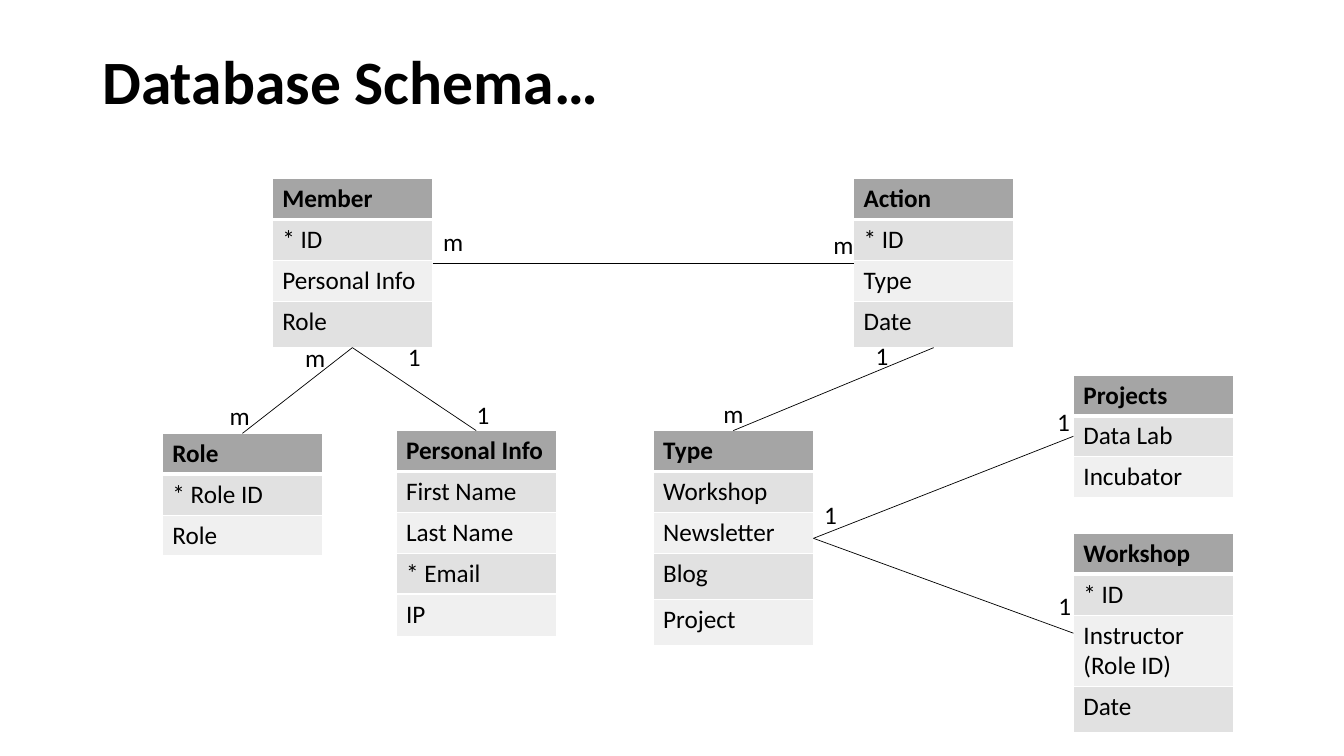
from collections import namedtuple

from lxml import etree
from pptx import Presentation
from pptx import util as u
from pptx.dml.color import RGBColor
from pptx.enum import shapes, text
from pptx.oxml import ns

BLACK = RGBColor(0x00, 0x00, 0x00)
WHITE = RGBColor(0xFF, 0xFF, 0xFF)
HEADER_GREY = RGBColor(0xA5, 0xA5, 0xA5)
BAND_GREYS = (RGBColor(0xE1, 0xE1, 0xE1), RGBColor(0xF0, 0xF0, 0xF0))

FONT = "Calibri"
ENTITY_WIDTH = 4.04
ROW, TALL, DOUBLE = 1.03, 1.17, 1.8  # row heights in cm

# Edge midpoints of an entity, in cm
Edges = namedtuple("Edges", "left top right bottom")

# Entity key: left, top, heading, fields with their row heights
ENTITIES = {
    "member": (6.86, 4.5, "Member",
               [("* ID", ROW), ("Personal Info", ROW), ("Role", TALL)]),
    "personal": (9.98, 10.85, "Personal Info",
                 [("First Name", ROW), ("Last Name", ROW),
                  ("* Email", ROW), ("IP", 1.08)]),
    "role": (4.09, 10.92, "Role", [("* Role ID", ROW), ("Role", ROW)]),
    "action": (21.51, 4.5, "Action",
               [("* ID", ROW), ("Type", ROW), ("Date", TALL)]),
    "type": (16.46, 10.85, "Type",
             [("Workshop", ROW), ("Newsletter", ROW),
              ("Blog", TALL), ("Project", TALL)]),
    "workshop": (27.05, 13.44, "Workshop",
                 [("* ID", ROW), ("Instructor (Role ID)", DOUBLE), ("Date", TALL)]),
    "projects": (27.05, 9.45, "Projects", [("Data Lab", ROW), ("Incubator", ROW)]),
}

# Start entity and edge, end entity and edge
RELATIONS = [
    ("member", "right", "action", "left"),
    ("member", "bottom", "role", "top"),
    ("member", "bottom", "personal", "top"),
    ("action", "bottom", "type", "top"),
    ("type", "right", "projects", "left"),
    ("type", "right", "workshop", "left"),
]

# Cardinality marks: sign, left, top
CARDINALITIES = [
    ("m", 10.92, 5.59), ("m", 20.75, 5.66),
    ("m", 7.44, 8.51), ("m", 5.54, 9.96),
    ("1", 10.03, 8.48), ("1", 11.76, 9.93),
    ("m", 17.98, 9.91), ("1", 21.82, 8.46),
    ("1", 20.52, 12.45), ("1", 26.39, 10.11), ("1", 26.42, 14.76),
]


def write(paragraph, words, size, bold=False):
    run = paragraph.add_run()
    run.text = words
    run.font.name = FONT
    run.font.size = u.Pt(size)
    run.font.bold = bold
    run.font.color.rgb = BLACK


def add_text(slide, words, left, top, width, height, size, bold=False):
    box = slide.shapes.add_textbox(u.Cm(left), u.Cm(top), u.Cm(width), u.Cm(height))
    box.text_frame.word_wrap = True
    write(box.text_frame.paragraphs[0], words, size, bold)
    return box.text_frame


def set_borders(cell, top, bottom):
    """Draw white borders; top and bottom widths are in points."""
    properties = cell._tc.get_or_add_tcPr()
    widths = {"a:lnL": 1, "a:lnR": 1, "a:lnT": top, "a:lnB": bottom}
    for position, (tag, width) in enumerate(widths.items()):
        border = etree.Element(ns.qn(tag), w=str(u.Pt(width)))
        fill = etree.SubElement(border, ns.qn("a:solidFill"))
        etree.SubElement(fill, ns.qn("a:srgbClr"), val=str(WHITE))
        properties.insert(position, border)


def add_entity(slide, left, top, heading, fields):
    rows = [(heading, ROW)] + fields
    height = sum(row_height for _, row_height in rows)
    table = slide.shapes.add_table(
        len(rows), 1, u.Cm(left), u.Cm(top), u.Cm(ENTITY_WIDTH), u.Cm(height)).table
    table.horz_banding = False
    for index, (words, row_height) in enumerate(rows):
        is_heading = index == 0
        table.rows[index].height = u.Cm(row_height)
        cell = table.cell(index, 0)
        cell.fill.solid()
        cell.fill.fore_color.rgb = HEADER_GREY if is_heading else BAND_GREYS[(index - 1) % 2]
        set_borders(cell, 3 if index == 1 else 1, 3 if is_heading else 1)
        write(cell.text_frame.paragraphs[0], words, 18, is_heading)
    center, middle = left + ENTITY_WIDTH / 2, top + height / 2
    return Edges((left, middle), (center, top),
                 (left + ENTITY_WIDTH, middle), (center, top + height))


def add_relation(slide, start, end):
    relation = slide.shapes.add_connector(
        shapes.MSO_CONNECTOR.STRAIGHT, *(u.Cm(value) for value in start + end))
    relation.line.color.rgb = BLACK
    relation.line.width = u.Pt(0.5)
    etree.SubElement(relation._element.spPr, ns.qn("a:effectLst"))


def main():
    deck = Presentation()
    deck.slide_width, deck.slide_height = u.Cm(33.87), u.Cm(19.05)
    slide = deck.slides.add_slide(deck.slide_layouts[6])

    # Title
    title = add_text(slide, "Database Schema…", 2.33, 1.02, 29.21, 2.24, 44, True)
    title.vertical_anchor = text.MSO_ANCHOR.MIDDLE
    title.paragraphs[0].line_spacing = 0.9

    # Entities
    edges = {key: add_entity(slide, *entity) for key, entity in ENTITIES.items()}

    # Relations
    for start, start_edge, end, end_edge in RELATIONS:
        add_relation(slide, getattr(edges[start], start_edge),
                     getattr(edges[end], end_edge))

    # Cardinalities
    for sign, left, top in CARDINALITIES:
        mark = add_text(slide, sign, left, top, 0.74, 1.03, 18)
        mark.auto_size = text.MSO_AUTO_SIZE.SHAPE_TO_FIT_TEXT
        mark.paragraphs[0].alignment = text.PP_ALIGN.CENTER

    deck.save("out.pptx")


if __name__ == "__main__":
    main()
